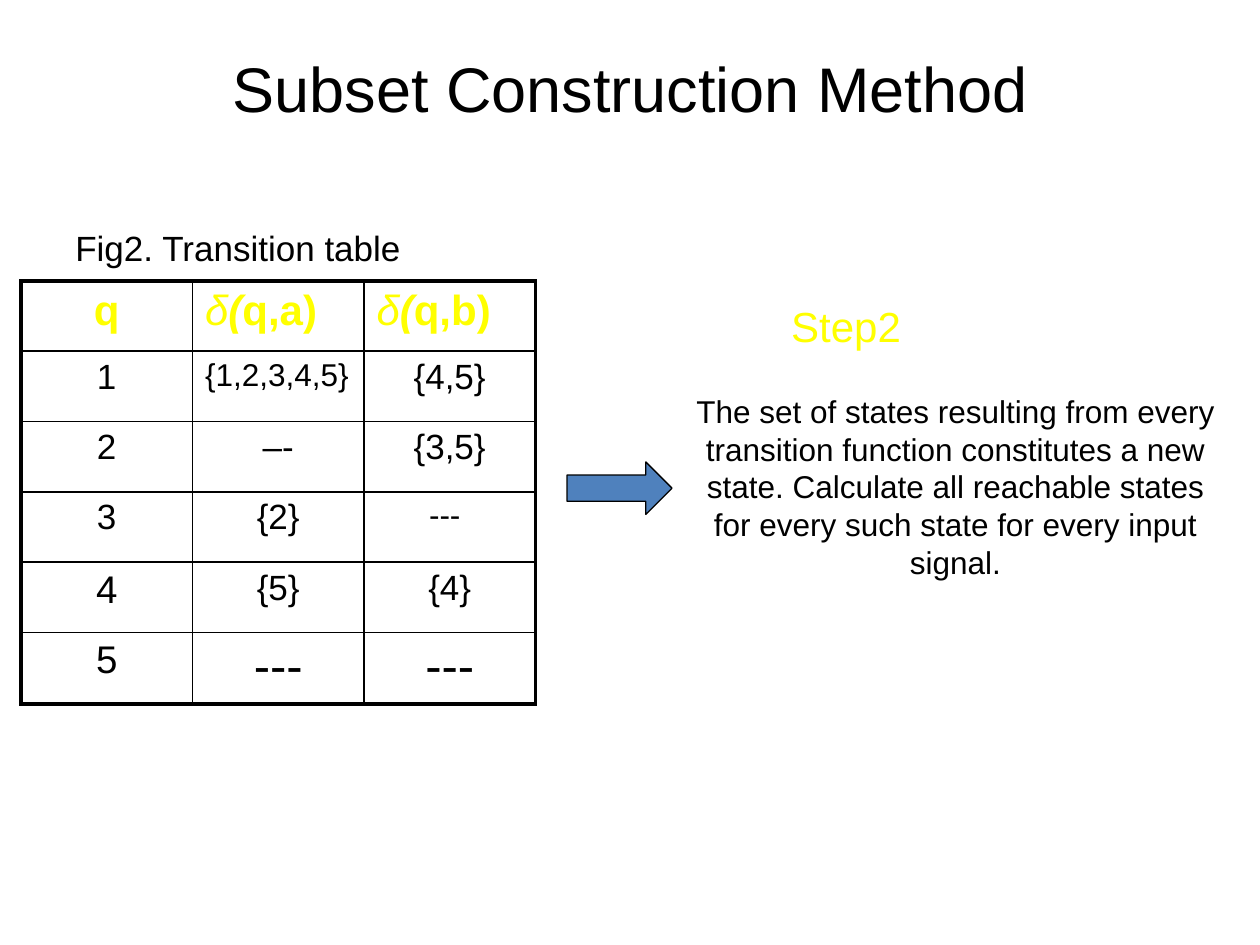
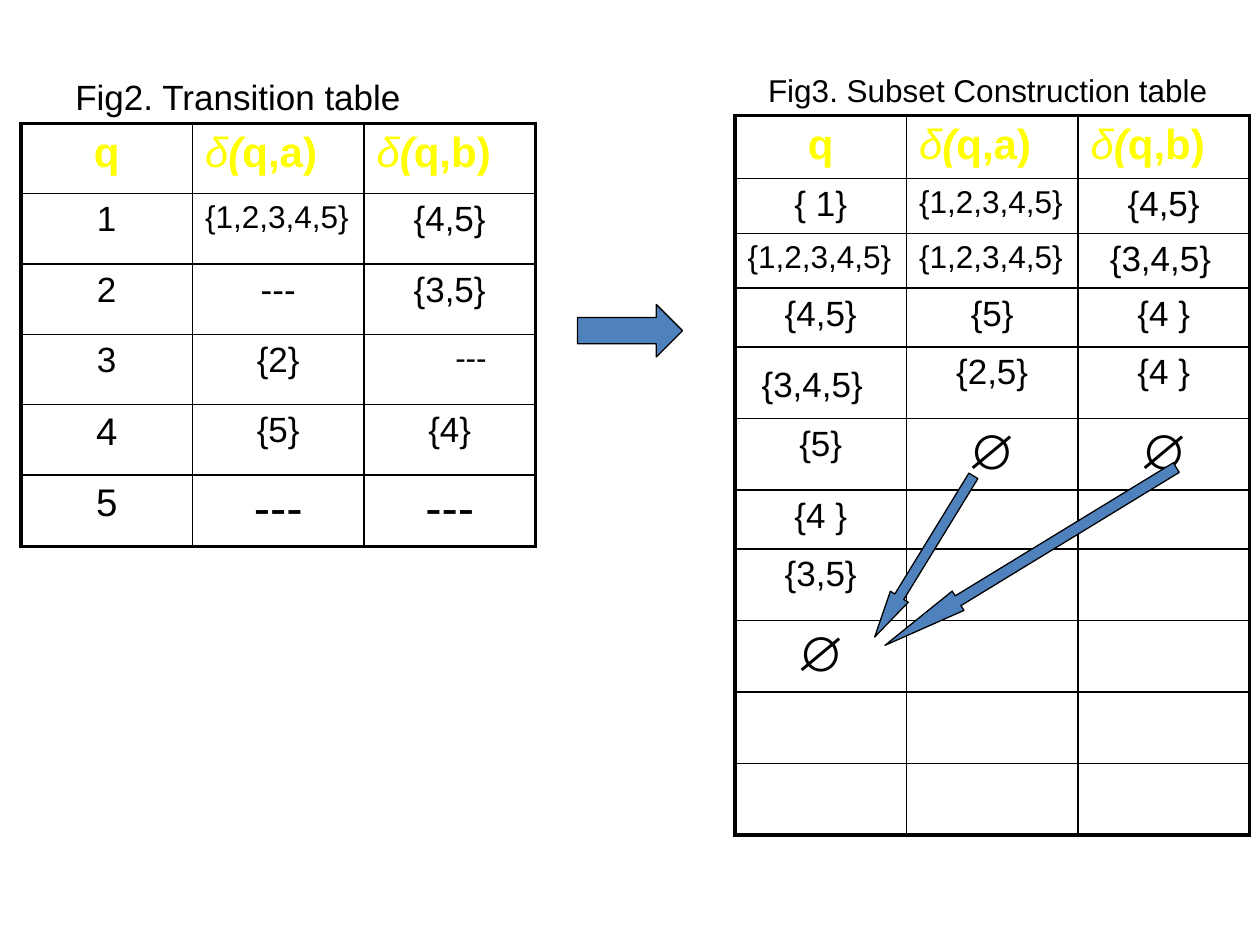
from pptx import Presentation
from pptx.dml.color import RGBColor
from pptx.enum.shapes import MSO_SHAPE
from pptx.enum.text import PP_ALIGN
from pptx.oxml import parse_xml
from pptx.oxml.ns import nsdecls
from pptx.util import Pt

FONT = "Arial"
BLACK, YELLOW, BLUE = "000000", "FFFF00", "4F81BD"
OUTER_LINE, INNER_LINE = 2.25, 1
COLUMN_WIDTH = 98
CELL_MARGIN = 7.2


def add_run(paragraph, text, size, color=BLACK, bold=False, italic=False):
    run = paragraph.add_run()
    run.text = text
    font = run.font
    font.name, font.size, font.bold, font.italic = FONT, Pt(size), bold, italic
    font.color.rgb = RGBColor.from_string(color)


def add_transition_table(slide, left, top, row_heights, rows):
    """Draw a header and state rows; an entry is text or (text, size, left indent or None to centre)."""
    row_count = len(row_heights)
    table = slide.shapes.add_table(
        row_count, 3, Pt(left), Pt(top), Pt(3 * COLUMN_WIDTH), Pt(sum(row_heights))
    ).table
    table.first_row = table.horz_banding = False
    for column in table.columns:
        column.width = Pt(COLUMN_WIDTH)
    for row, height in zip(table.rows, row_heights):
        row.height = Pt(height)

    for row in range(row_count):
        for column in range(3):
            cell = table.cell(row, column)
            properties = cell._tc.get_or_add_tcPr()
            edges = {"L": column == 0, "R": column == 2, "T": row == 0, "B": row == row_count - 1}
            for side, is_outer in edges.items():
                width = Pt(OUTER_LINE if is_outer else INNER_LINE)
                properties.append(parse_xml(
                    f'<a:ln{side} {nsdecls("a")} w="{width}"><a:solidFill>'
                    f'<a:srgbClr val="{BLACK}"/></a:solidFill></a:ln{side}>'
                ))
            cell.fill.background()

    header = [cell.text_frame.paragraphs[0] for cell in table.rows[0].cells]
    header[0].alignment = PP_ALIGN.CENTER
    add_run(header[0], "q", 24, YELLOW, bold=True)
    for paragraph, signal in zip(header[1:], "ab"):
        add_run(paragraph, "δ", 24, YELLOW, italic=True)
        add_run(paragraph, "(", 24, YELLOW, bold=True, italic=True)
        add_run(paragraph, f"q,{signal})", 24, YELLOW, bold=True)

    for row, entries in enumerate(rows, start=1):
        for column, entry in enumerate(entries):
            text, size, indent = entry if isinstance(entry, tuple) else (entry, 20, None)
            cell = table.cell(row, column)
            paragraph = cell.text_frame.paragraphs[0]
            if indent is None:
                paragraph.alignment = PP_ALIGN.CENTER
            else:
                cell.margin_left = Pt(CELL_MARGIN + indent)
            add_run(paragraph, text, size)
    return table


presentation = Presentation()
presentation.slide_width, presentation.slide_height = Pt(720), Pt(540)
method_slide, tables_slide = [
    presentation.slides.add_slide(presentation.slide_layouts[6]) for _ in range(2)
]

# Text boxes: slide, left, top, width, height, text, size, colour, alignment, wrap
CENTER, LEFT = PP_ALIGN.CENTER, PP_ALIGN.LEFT
explanation = (
    "The set of states resulting from every transition function constitutes a new state. "
    "Calculate all reachable states for every such state for every input signal."
)
for slide, left, top, width, height, text, size, color, alignment, wrap in [
    (method_slide, 36, 126, 648, 356, "Fig2. Transition table", 20, BLACK, LEFT, True),
    (method_slide, 126, 24.5, 468.5, 50, "Subset Construction Method", 36, BLACK, CENTER, False),
    (method_slide, 445, 168, 77, 36, "Step2", 24, YELLOW, CENTER, False),
    (method_slide, 390, 220.3, 312, 115, explanation, 18, BLACK, CENTER, True),
    (tables_slide, 36, 39.5, 648, 356, "Fig2. Transition table", 20, BLACK, LEFT, True),
    (tables_slide, 424.5, 37, 280, 29, "Fig3. Subset Construction table", 18, BLACK, CENTER, False),
]:
    frame = slide.shapes.add_textbox(Pt(left), Pt(top), Pt(width), Pt(height)).text_frame
    frame.word_wrap = wrap
    frame.paragraphs[0].alignment = alignment
    add_run(frame.paragraphs[0], text, size, color)

# The transition table stands on both slides, with small differences in the dashes
ALL_STATES = ("{1,2,3,4,5}", 18, 0)
NO_STATE = ("---", 28, None)
EMPTY_SET = ("∅", 28, None)
for slide, top, dash, dash_indent in [
    (method_slide, 160.5, "–-", 30),
    (tables_slide, 70.5, "---", 45),
]:
    add_transition_table(slide, 12, top, [40.2] * 6, [
        ["1", ALL_STATES, "{4,5}"],
        ["2", dash, "{3,5}"],
        ["3", "{2}", ("---", 18, dash_indent)],
        [("4", 22, None), "{5}", "{4}"],
        [("5", 22, None), NO_STATE, NO_STATE],
    ])

subset_heights = [36, 31.3, 31.3, 33.7, 40.9, 40.9, 33.7] + [40.9] * 4
subset_table = add_transition_table(tables_slide, 420, 66, subset_heights, [
    ["{ 1}", ALL_STATES, "{4,5}"],
    [ALL_STATES, ALL_STATES, ("{3,4,5}", 20, 11)],
    ["{4,5}", "{5}", "{4 }"],
    [("{3,4,5}", 20, 8), "{2,5}", "{4 }"],
    ["{5}", EMPTY_SET, EMPTY_SET],
    ["{4 }"],
    ["{3,5}"],
    [EMPTY_SET],
])
subset_table.cell(4, 0).margin_top = Pt(10.8)

# Arrows: slide, shape, left, top, width, height, rotation, head length
RIGHT, DOWN = MSO_SHAPE.RIGHT_ARROW, MSO_SHAPE.DOWN_ARROW
for slide, kind, left, top, width, height, rotation, head_length in [
    (method_slide, RIGHT, 324, 264, 60, 30, 0, 0.5),
    (tables_slide, RIGHT, 330, 174, 60, 30, 0, 0.5),
    (tables_slide, DOWN, 522, 264, 12, 108, 31.5, 2.25),
    (tables_slide, DOWN, 582.5, 220.5, 12.9, 195, 58.6, 3.79),
]:
    arrow = slide.shapes.add_shape(kind, Pt(left), Pt(top), Pt(width), Pt(height))
    arrow.rotation = rotation
    arrow.adjustments[0], arrow.adjustments[1] = 0.5, head_length
    arrow.shadow.inherit = False
    arrow.fill.solid()
    arrow.fill.fore_color.rgb = RGBColor.from_string(BLUE)
    arrow.line.color.rgb = RGBColor.from_string(BLACK)
    arrow.line.width = Pt(0.75)

presentation.save("out.pptx")
